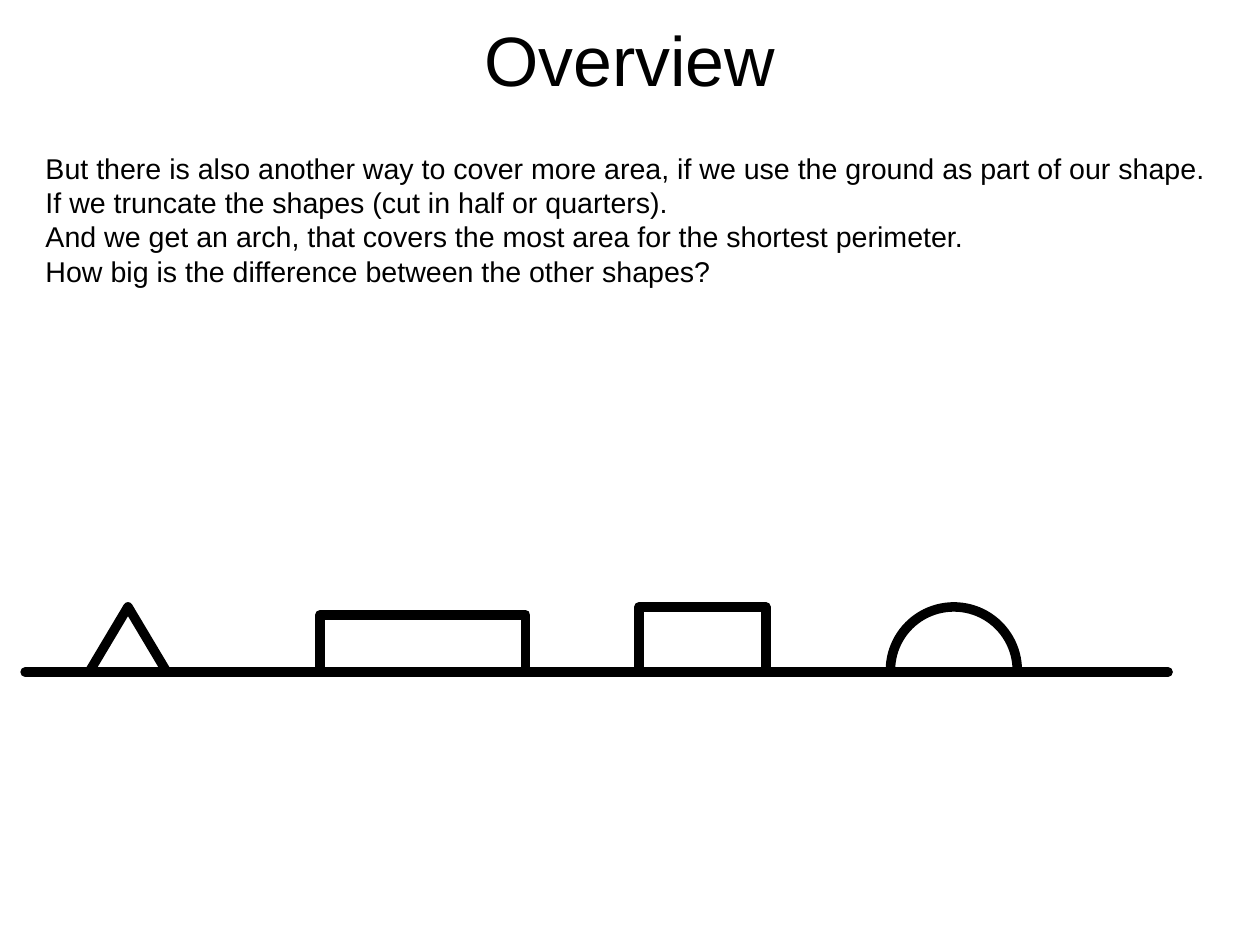
"""Build the Overview slide of truncated shapes standing on the ground."""
import lxml.etree
import pptx
import pptx.dml.color
import pptx.enum.shapes
import pptx.enum.text
import pptx.oxml.ns
import pptx.util

Inches = pptx.util.Inches
Pt = pptx.util.Pt
qn = pptx.oxml.ns.qn
SHAPE = pptx.enum.shapes.MSO_SHAPE
ALIGN = pptx.enum.text.PP_ALIGN
ANCHOR = pptx.enum.text.MSO_ANCHOR
BLACK = pptx.dml.color.RGBColor(0, 0, 0)
WHITE = pptx.dml.color.RGBColor(255, 255, 255)
CM_PER_INCH = 2.54


def add_text(slide, text, *, box, size, align=ALIGN.LEFT, anchor=ANCHOR.TOP, inset=(0.1, 0.05)):
    sp = slide.shapes.add_textbox(*map(Inches, box))
    tf = sp.text_frame
    tf.word_wrap = True
    tf.vertical_anchor = anchor
    tf.margin_left = tf.margin_right = Inches(inset[0])
    tf.margin_top = tf.margin_bottom = Inches(inset[1])
    for i, line in enumerate(text.split("\n")):
        p = tf.paragraphs[0] if i == 0 else tf.add_paragraph()
        p.alignment = align
        r = p.add_run()
        r.text = line
        r.font.name = "Arial"
        r.font.size = Pt(size)
        r.font.color.rgb = BLACK


def draw_outline(sp):
    sp.line.color.rgb = BLACK
    sp.line.width = Pt(6)
    ln = sp.element.spPr.find(qn("a:ln"))
    ln.set("cap", "rnd")
    lxml.etree.SubElement(ln, qn("a:round"))


prs = pptx.Presentation()
prs.slide_width = Inches(28 / CM_PER_INCH)
prs.slide_height = Inches(21 / CM_PER_INCH)
slide = prs.slides.add_slide(prs.slide_layouts[6])

add_text(slide, "Overview", box=(0.55, 0.17, 9.92, 0.68), size=44,
         align=ALIGN.CENTER, anchor=ANCHOR.MIDDLE, inset=(0, 0))
add_text(slide, "But there is also another way to cover more area, if we use the ground as part of our shape.\n"
         "If we truncate the shapes (cut in half or quarters).\n"
         "And we get an arch, that covers the most area for the shortest perimeter.\n"
         "How big is the difference between the other shapes?",
         box=(0.3, 1.27, 10.4, 1.78), size=18)

ground_cover = (SHAPE.RECTANGLE, 0.3, 5.86, 9.4, 1)
shapes = [
    (SHAPE.OVAL, 7.79, 5.31, 1.11, 1.11),
    (SHAPE.RECTANGLE, 5.59, 5.31, 1.11, 1.11),
    (SHAPE.RECTANGLE, 2.8, 5.38, 1.8, 1.04),
    (SHAPE.ISOSCELES_TRIANGLE, 0.5, 5.31, 1.24, 1.04),
    ground_cover,
]
for kind, *box in shapes:
    sp = slide.shapes.add_shape(kind, *map(Inches, box))
    sp.shadow.inherit = False
    sp.fill.solid()
    sp.fill.fore_color.rgb = WHITE
    if (kind, *box) == ground_cover:
        sp.line.fill.background()
    else:
        draw_outline(sp)

ground = slide.shapes.add_connector(pptx.enum.shapes.MSO_CONNECTOR.STRAIGHT,
                                    Inches(0.22), Inches(5.88), Inches(10.22), Inches(5.88))
draw_outline(ground)
lxml.etree.SubElement(ground.element.spPr, qn("a:effectLst"))

prs.save("out.pptx")
